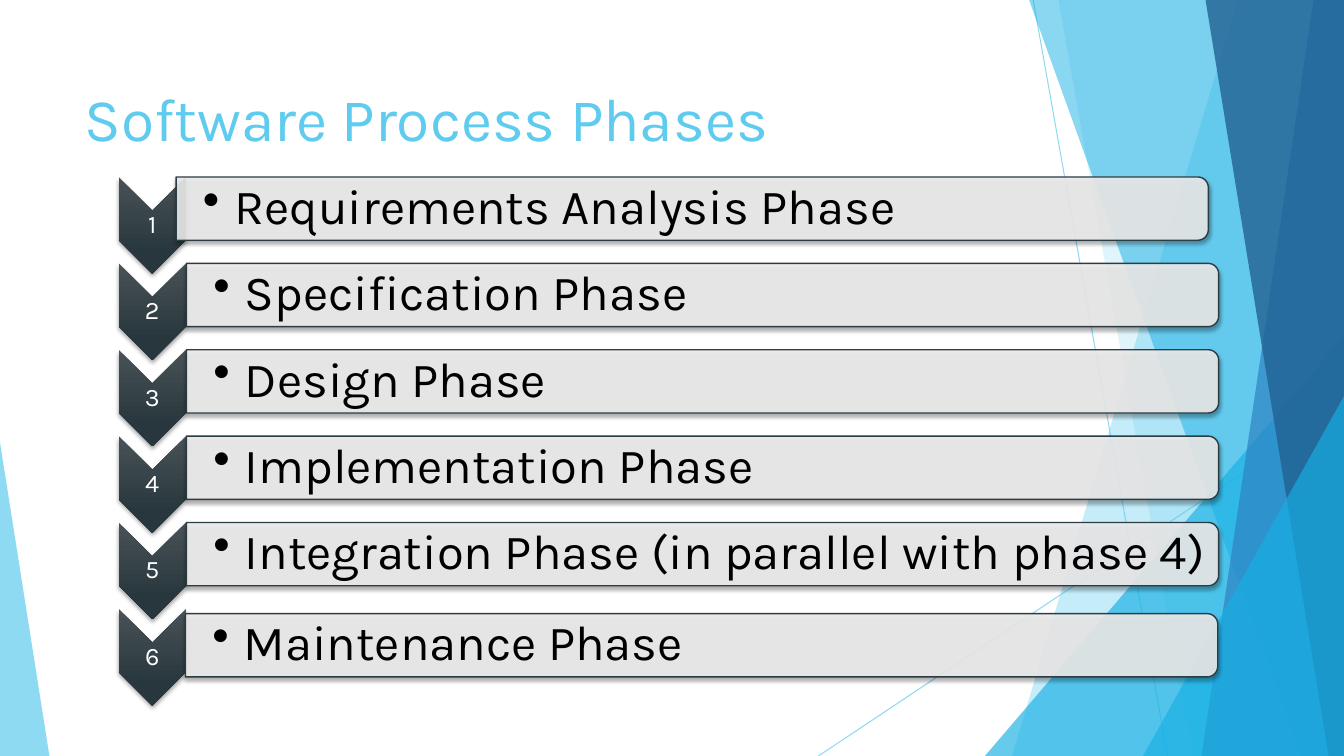
"""Build the Software Process Phases slide."""
from dataclasses import dataclass

from lxml import etree
from pptx import Presentation
from pptx.dml.color import RGBColor
from pptx.enum.shapes import MSO_CONNECTOR, MSO_SHAPE
from pptx.enum.text import MSO_ANCHOR, PP_ALIGN
from pptx.oxml.ns import qn
from pptx.shapes.autoshape import Shape
from pptx.slide import Slide
from pptx.text.text import _Paragraph
from pptx.util import Pt

TRIANGLE = MSO_SHAPE.ISOSCELES_TRIANGLE
CHEVRON = MSO_SHAPE.CHEVRON
BAR = MSO_SHAPE.ROUND_2_SAME_RECTANGLE
STRAIGHT = MSO_CONNECTOR.STRAIGHT
MIDDLE = MSO_ANCHOR.MIDDLE
LEFT, CENTER = PP_ALIGN.LEFT, PP_ALIGN.CENTER

SLIDE_WIDTH, SLIDE_HEIGHT = 960, 540
FIRST_TOP, ROW_PITCH = 126.4, 61.7
CHEVRON_LEFT, CHEVRON_WIDTH, CHEVRON_HEIGHT = 84.7, 48.2, 69.1
BAR_WIDTH, BAR_HEIGHT = 737.3, 45.2
TEXT_WIDTH, TEXT_HEIGHT = 735.1, 41
NUMBER_DROP, NUMBER_HEIGHT = 24, 20.9


@dataclass(frozen=True)
class Theme:
    """Colours, font and type sizes."""
    font: str = "Karla"
    title_size: float = 43.2
    phase_size: float = 35
    number_size: float = 18
    sky: str = "5FCBEF"
    cyan: str = "17B0E4"
    blue: str = "2E83C3"
    navy: str = "226292"
    slate_light: str = "495257"
    slate_dark: str = "28373D"
    outline: str = "2C3C43"
    bar: str = "EBEBEB"
    white: str = "FFFFFF"
    black: str = "000000"


THEME = Theme()


@dataclass(frozen=True)
class Ray:
    """A thin background line."""
    start: tuple[float, float]
    end: tuple[float, float]


@dataclass(frozen=True)
class Band:
    """A background area from a slanted edge to the right side."""
    top_x: float
    bottom_x: float
    color: str
    opacity: int


@dataclass(frozen=True)
class Corner:
    """A background triangle that stands on the bottom edge."""
    left: float
    top: float
    width: float
    apex: float
    color: str
    opacity: int


@dataclass(frozen=True)
class Phase:
    """One numbered phase and the place of its bar."""
    name: str
    bar_left: float = 133.2
    bar_drop: float = 0


RAYS = [Ray((738, 0), (834, 540)), Ray((960, 290), (584.6, 540))]
BACKDROP = [
    Band(884.2, 722.9, THEME.sky, 36),
    Band(756, 851.8, THEME.sky, 20),
    Corner(703.5, 240, 256.5, 1, THEME.cyan, 66),
    Band(735.1, 929.5, THEME.cyan, 50),
    Band(938.2, 858.2, THEME.blue, 70),
    Band(861.1, 949, THEME.navy, 80),
    Corner(816.5, 283, 143.5, 1, THEME.cyan, 66),
    Corner(0, 316, 35.3, 0, THEME.sky, 70),
]
PHASES = [
    Phase("Requirements Analysis Phase", bar_left=125.8),
    Phase("Specification Phase"),
    Phase("Design Phase"),
    Phase("Implementation Phase"),
    Phase("Integration Phase (in parallel with phase 4)"),
    Phase("Maintenance Phase", bar_left=132.5, bar_drop=3.4),
]


def set_opacity(properties: etree._Element, percent: int) -> None:
    """Make the colours inside the properties partly transparent."""
    for color in properties.iter(qn("a:srgbClr")):
        etree.SubElement(color, qn("a:alpha"), val=str(percent * 1000))


def fill_solid(shape: Shape, color: str, opacity: int) -> None:
    """Give the shape a transparent fill without line or shadow."""
    shape.shadow.inherit = False
    shape.fill.solid()
    shape.fill.fore_color.rgb = RGBColor.from_string(color)
    set_opacity(shape._element.spPr, opacity)
    shape.line.fill.background()


def add_soft_shadow(shape: Shape) -> None:
    """Drop a soft shadow straight below the shape."""
    shape.shadow.inherit = False
    effects = shape._element.spPr.find(qn("a:effectLst"))
    shadow = etree.SubElement(
        effects, qn("a:outerShdw"), blurRad=str(Pt(3)), dist=str(Pt(2)),
        dir="5400000", algn="ctr", rotWithShape="0")
    color = etree.SubElement(shadow, qn("a:srgbClr"), val=THEME.black)
    etree.SubElement(color, qn("a:alpha"), val="35000")


def add_ray(slide: Slide, ray: Ray) -> None:
    """Draw one thin background line."""
    line = slide.shapes.add_connector(
        STRAIGHT, *(Pt(value) for value in ray.start + ray.end))
    line.line.width = Pt(0.75)
    line.line.color.rgb = RGBColor.from_string(THEME.sky)
    properties = line._element.spPr
    set_opacity(properties, 70)
    etree.SubElement(properties, qn("a:effectLst"))


def add_backdrop(slide: Slide, part: Band | Corner) -> None:
    """Draw one background area."""
    if isinstance(part, Band):
        builder = slide.shapes.build_freeform(Pt(part.top_x), 0)
        builder.add_line_segments([
            (Pt(SLIDE_WIDTH), 0), (Pt(SLIDE_WIDTH), Pt(SLIDE_HEIGHT)),
            (Pt(part.bottom_x), Pt(SLIDE_HEIGHT))], close=True)
        shape = builder.convert_to_shape()
    else:
        shape = slide.shapes.add_shape(
            TRIANGLE, Pt(part.left), Pt(part.top), Pt(part.width), Pt(SLIDE_HEIGHT - part.top))
        shape.adjustments[0] = part.apex
    fill_solid(shape, part.color, part.opacity)


def add_turned(slide: Slide, kind: MSO_SHAPE, left: float, top: float,
               width: float, height: float) -> Shape:
    """Add a shape turned by 90 degrees that covers the given area."""
    shift = (width - height) / 2
    shape = slide.shapes.add_shape(
        kind, Pt(left + shift), Pt(top - shift), Pt(height), Pt(width))
    shape.rotation = 90
    add_soft_shadow(shape)
    return shape


def add_label(slide: Slide, text: str, left: float, top: float, width: float, height: float,
              size: float, color: str, inset: float, left_inset: float,
              alignment: PP_ALIGN = LEFT) -> _Paragraph:
    """Add a vertically centred one-line text and return its paragraph."""
    frame = slide.shapes.add_textbox(Pt(left), Pt(top), Pt(width), Pt(height)).text_frame
    frame.word_wrap = True
    frame.vertical_anchor = MIDDLE
    frame.margin_left = Pt(left_inset)
    frame.margin_top = frame.margin_right = frame.margin_bottom = Pt(inset)
    paragraph = frame.paragraphs[0]
    paragraph.alignment = alignment
    run = paragraph.add_run()
    run.text = text
    run.font.name = THEME.font
    run.font.size = Pt(size)
    run.font.color.rgb = RGBColor.from_string(color)
    return paragraph


def add_phase(slide: Slide, index: int, phase: Phase) -> None:
    """Draw the chevron, number, bar and name of one phase."""
    top = FIRST_TOP + index * ROW_PITCH
    chevron = add_turned(slide, CHEVRON, CHEVRON_LEFT, top, CHEVRON_WIDTH, CHEVRON_HEIGHT)
    chevron.fill.gradient()
    chevron.fill.gradient_angle = 270
    chevron._element.spPr.find(qn("a:gradFill")).set("rotWithShape", "0")
    colors = (THEME.slate_light, THEME.slate_dark)
    for stop, color, position in zip(chevron.fill.gradient_stops, colors, (0, 0.78)):
        stop.color.rgb = RGBColor.from_string(color)
        stop.position = position
    chevron.line.fill.background()
    number = add_label(slide, str(index + 1), CHEVRON_LEFT, top + NUMBER_DROP, CHEVRON_WIDTH,
                       NUMBER_HEIGHT, THEME.number_size, THEME.white, 0.9, 0.9, CENTER)
    number.line_spacing = 0.9

    bar_top = top + phase.bar_drop
    bar = add_turned(slide, BAR, phase.bar_left, bar_top, BAR_WIDTH, BAR_HEIGHT)
    bar.fill.solid()
    bar.fill.fore_color.rgb = RGBColor.from_string(THEME.bar)
    set_opacity(bar._element.spPr.find(qn("a:solidFill")), 90)
    bar.line.color.rgb = RGBColor.from_string(THEME.outline)
    bar.line.width = Pt(1)
    name = add_label(slide, phase.name, phase.bar_left, bar_top + 2, TEXT_WIDTH, TEXT_HEIGHT,
                     THEME.phase_size, THEME.black, 1.6, 19.2)
    properties = name._element.get_or_add_pPr()
    properties.set("marL", str(Pt(22.5)))
    properties.set("indent", str(Pt(-22.5)))
    etree.SubElement(properties, qn("a:buChar"), char="•")
    name.line_spacing = 0.9


def main() -> None:
    """Build and save the presentation."""
    presentation = Presentation()
    presentation.slide_width, presentation.slide_height = Pt(SLIDE_WIDTH), Pt(SLIDE_HEIGHT)
    slide = presentation.slides.add_slide(presentation.slide_layouts[6])
    for ray in RAYS:
        add_ray(slide, ray)
    for part in BACKDROP:
        add_backdrop(slide, part)
    add_label(slide, "Software Process Phases", 53.3, 54, 676.8, 60,
              THEME.title_size, THEME.sky, 3.6, 7.2)
    for index, phase in enumerate(PHASES):
        add_phase(slide, index, phase)
    presentation.save("out.pptx")


if __name__ == "__main__":
    main()
